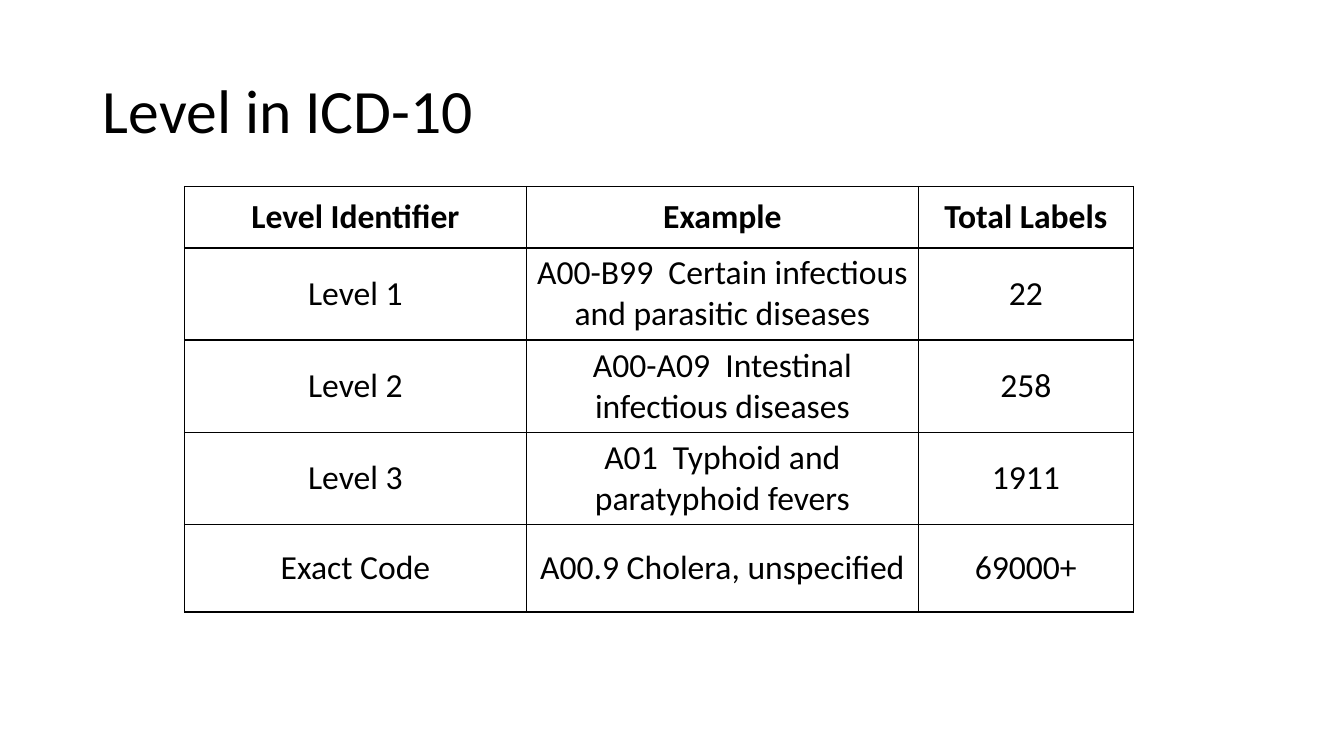
from lxml.etree import SubElement
from pptx import Presentation
from pptx.dml.color import RGBColor
from pptx.enum.text import MSO_ANCHOR, PP_ALIGN
from pptx.oxml.ns import qn
from pptx.util import Inches, Pt

TITLE = "Level in ICD-10"
ROWS = [
    ("Level Identifier", "Example", "Total Labels"),
    ("Level 1", "A00-B99  Certain infectious and parasitic diseases", "22"),
    ("Level 2", "A00-A09\u00a0\u00a0Intestinal infectious diseases", "258"),
    ("Level 3", "A01  Typhoid and paratyphoid fevers", "1911"),
    ("Exact Code", "A00.9 Cholera, unspecified", "69000+"),
]
COLUMN_WIDTHS = (3.39, 3.89, 2.13)
HEADER_HEIGHT, LEVEL_HEIGHT = 0.61, 0.87
BLACK = "000000"


def write_text(frame, text, size=24, bold=False, color=BLACK,
               align=PP_ALIGN.CENTER, line_spacing=1.0):
    """Put one formatted paragraph, vertically centred, in a text frame."""
    frame.word_wrap = True
    frame.vertical_anchor = MSO_ANCHOR.MIDDLE
    paragraph = frame.paragraphs[0]
    paragraph.alignment = align
    paragraph.line_spacing = line_spacing
    run = paragraph.add_run()
    run.text = text
    run.font.name = "Calibri"
    run.font.size = Pt(size)
    run.font.bold = bold
    run.font.color.rgb = RGBColor.from_string(color)


def draw_borders(cell, color=BLACK, width=1):
    """Give all four sides of a table cell a solid line."""
    properties = cell._tc.get_or_add_tcPr()
    for side in ("lnL", "lnR", "lnT", "lnB"):
        line = SubElement(properties, qn(f"a:{side}"), w=str(Pt(width)))
        fill = SubElement(line, qn("a:solidFill"))
        SubElement(fill, qn("a:srgbClr"), val=color)


presentation = Presentation()
presentation.slide_width = Inches(13.33)
presentation.slide_height = Inches(7.5)
slide = presentation.slides.add_slide(presentation.slide_layouts[5])

title = slide.shapes.title
title.left, title.top = Inches(0.92), Inches(0.4)
title.width, title.height = Inches(11.5), Inches(1.45)
write_text(title.text_frame, TITLE, size=44, align=PP_ALIGN.LEFT, line_spacing=0.9)

row_heights = [HEADER_HEIGHT] + [LEVEL_HEIGHT] * (len(ROWS) - 1)
table = slide.shapes.add_table(
    len(ROWS), len(COLUMN_WIDTHS), Inches(1.83), Inches(1.85),
    Inches(sum(COLUMN_WIDTHS)), Inches(sum(row_heights))).table
table.horz_banding = False
for column, width in zip(table.columns, COLUMN_WIDTHS):
    column.width = Inches(width)
for row_index, (row, height, texts) in enumerate(zip(table.rows, row_heights, ROWS)):
    row.height = Inches(height)
    for cell, text in zip(row.cells, texts):
        draw_borders(cell)
        cell.fill.background()
        cell.vertical_anchor = MSO_ANCHOR.MIDDLE
        write_text(cell.text_frame, text, bold=row_index == 0)

presentation.save("out.pptx")
